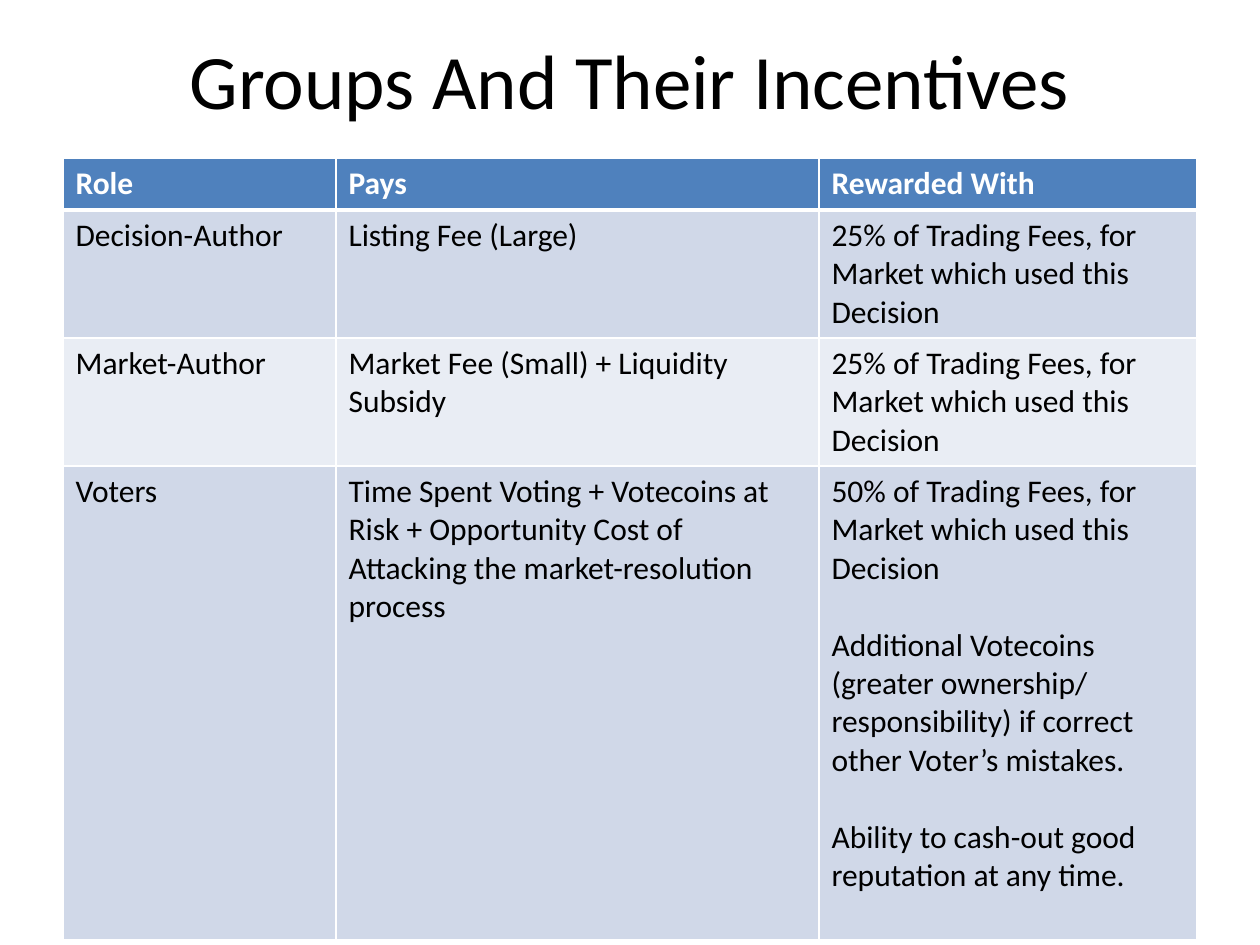
from lxml import etree
from pptx import Presentation
from pptx import util as u
from pptx.dml.color import RGBColor
from pptx.enum import text
from pptx.oxml import ns

PX_PER_INCH = 126
FONT = "Calibri"
BLACK = RGBColor(0x00, 0x00, 0x00)
WHITE = RGBColor(0xFF, 0xFF, 0xFF)
HEADER_BLUE = RGBColor(0x4F, 0x81, 0xBD)
BANDS = RGBColor(0xD0, 0xD8, 0xE8), RGBColor(0xE9, 0xED, 0xF4)

MARKET_SHARE = "{}% of Trading Fees, for Market which used this Decision"
COL_WIDTHS = 273, 483, 378
ROW_HEIGHTS = 52, 128, 128, 474
ROWS = [
    ("Role", "Pays", "Rewarded With"),
    ("Decision-Author", "Listing Fee (Large)", MARKET_SHARE.format(25)),
    ("Market-Author", "Market Fee (Small) + Liquidity Subsidy",
     MARKET_SHARE.format(25)),
    ("Voters",
     "Time Spent Voting + Votecoins at Risk + Opportunity Cost of "
     "Attacking the market-resolution process",
     MARKET_SHARE.format(50) + "\n"
     "Additional Votecoins (greater ownership/ responsibility) "
     "if correct other Voter’s mistakes.\n"
     "Ability to cash-out good reputation at any time."),
]


def px(n):
    return u.Emu(round(n * 914400 / PX_PER_INCH))


def format_text(tf, size, color, bold=False):
    for p in tf.paragraphs:
        for r in p.runs:
            r.font.name = FONT
            r.font.size = u.Pt(size)
            r.font.color.rgb = color
            r.font.bold = bold


def set_borders(cell, **widths):
    """Draw white borders; widths maps the sides L, R, T, B to points."""
    tc_pr = cell._tc.get_or_add_tcPr()
    for i, side in enumerate("LRTB"):
        ln = etree.Element(ns.qn(f"a:ln{side}"), w=str(u.Pt(widths.get(side, 1))))
        fill = etree.SubElement(ln, ns.qn("a:solidFill"))
        etree.SubElement(fill, ns.qn("a:srgbClr"), val=str(WHITE))
        tc_pr.insert(i, ln)


def add_title(s, x, y, w, h):
    tf = s.shapes.add_textbox(px(x), px(y), px(w), px(h)).text_frame
    tf.word_wrap = True
    tf.vertical_anchor = text.MSO_ANCHOR.MIDDLE
    tf.text = "Groups And Their Incentives"
    tf.paragraphs[0].alignment = text.PP_ALIGN.CENTER
    format_text(tf, 44, BLACK)


def add_incentives_table(s, x, y):
    frame = s.shapes.add_table(len(ROWS), len(COL_WIDTHS), px(x), px(y),
                               px(sum(COL_WIDTHS)), px(sum(ROW_HEIGHTS)))
    table = frame.table
    for col, width in zip(table.columns, COL_WIDTHS):
        col.width = px(width)
    for i, (row, height, values) in enumerate(zip(table.rows, ROW_HEIGHTS, ROWS)):
        row.height = px(height)
        header = i == 0
        for cell, value in zip(row.cells, values):
            tf = cell.text_frame
            tf.text = value
            for p in tf.paragraphs[1:]:
                p.space_before = u.Pt(22)
            format_text(tf, 18, WHITE if header else BLACK, header)
            cell.fill.solid()
            cell.fill.fore_color.rgb = HEADER_BLUE if header else BANDS[(i - 1) % 2]
            set_borders(cell, T=3 if i == 1 else 1, B=3 if header else 1)


def main():
    prs = Presentation()
    prs.slide_width, prs.slide_height = px(1260), px(945)
    s = prs.slides.add_slide(prs.slide_layouts[6])
    add_title(s, 63, 0, 1134, 158)
    add_incentives_table(s, 63, 158)
    prs.save("out.pptx")


if __name__ == "__main__":
    main()
